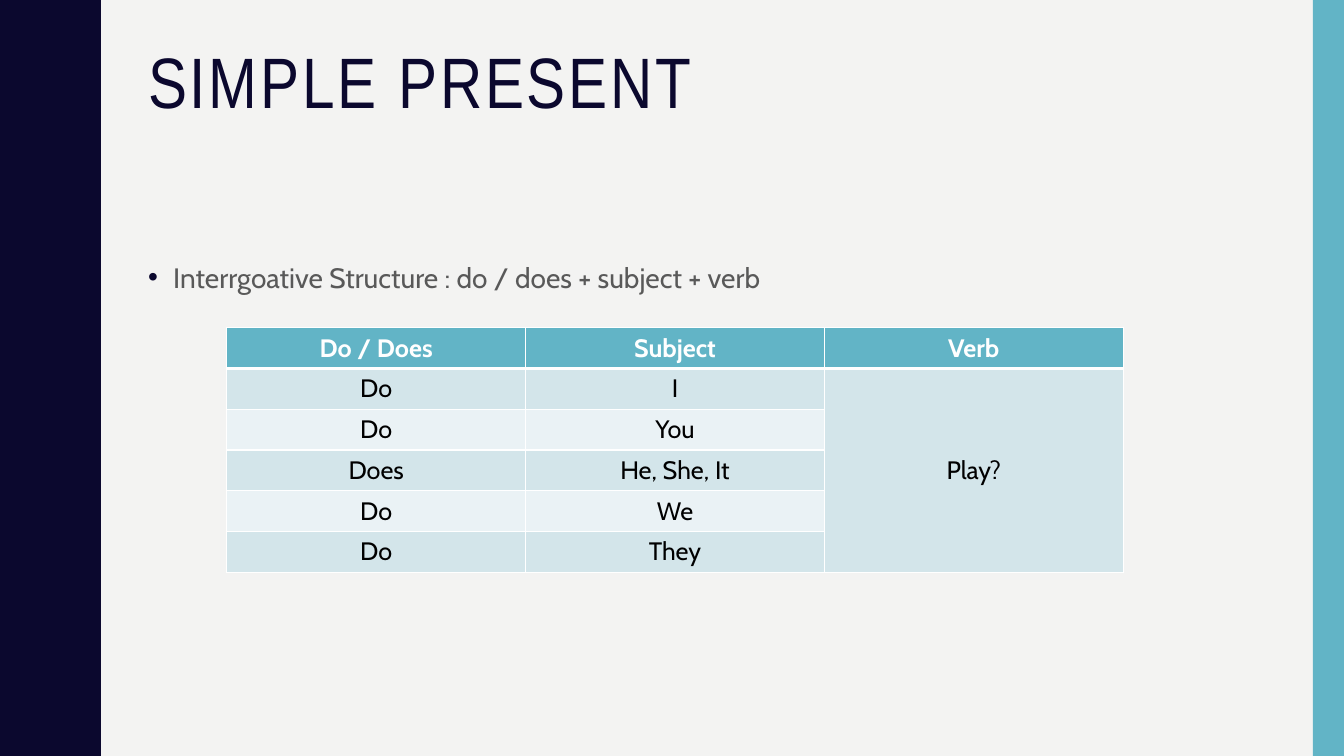
from pptx import Presentation
from pptx.dml.color import RGBColor
from pptx.enum.shapes import MSO_SHAPE
from pptx.enum.text import MSO_ANCHOR, PP_ALIGN
from pptx.oxml import parse_xml
from pptx.oxml.ns import nsdecls
from pptx.util import Inches, Pt

CENTER = PP_ALIGN.CENTER
LEFT = PP_ALIGN.LEFT
TOP = MSO_ANCHOR.TOP
MIDDLE = MSO_ANCHOR.MIDDLE
RECTANGLE = MSO_SHAPE.RECTANGLE

NAVY, TEAL, GRAY = "0B082E", "62B4C6", "595959"
WHITE, BLACK, PAPER = "FFFFFF", "000000", "F3F3F2"
BANDS = ["EAF2F5", "D3E5EA"]


def paint(fill, color):
    fill.solid()
    fill.fore_color.rgb = RGBColor.from_string(color)


def write(frame, text, size, font, color, bold=False, align=LEFT, spacing=1.0):
    """Put one formatted paragraph in a text frame and return it."""
    frame.word_wrap = True
    para = frame.paragraphs[0]
    para.alignment = align
    para.line_spacing = spacing
    span = para.add_run()
    span.text = text
    span.font.size = Pt(size)
    span.font.name = font
    span.font.bold = bold
    span.font.color.rgb = RGBColor.from_string(color)
    return para


deck = Presentation()
deck.slide_width, deck.slide_height = Inches(13.33), Inches(7.5)
page = deck.slides.add_slide(deck.slide_layouts[6])
paint(page.background.fill, PAPER)

# Wavy left edge: one half wave, mirrored and repeated down the page
half_wave = [(0.78, 0), (0.78, 0.07), (0.79, 0.14), (0.8, 0.2), (0.81, 0.25),
             (0.83, 0.29), (0.85, 0.33), (0.87, 0.38), (0.89, 0.42),
             (0.91, 0.46), (0.93, 0.5), (0.95, 0.55), (0.96, 0.61),
             (0.97, 0.68), (0.97, 0.75)]
wave_height = 1.5
full_wave = half_wave + [(x, wave_height - y) for x, y in reversed(half_wave[:-1])]
edge = [(x, y + wave_height * turn) for turn in range(5) for x, y in full_wave]
builder = page.shapes.build_freeform(0, 0, scale=Inches(1))
builder.add_line_segments(edge + [(0, 7.5)], close=True)
wave = builder.convert_to_shape()
stripe = page.shapes.add_shape(RECTANGLE, Inches(13.02), 0, Inches(0.31), Inches(7.5))
for shape, color in [(wave, NAVY), (stripe, TEAL)]:
    paint(shape.fill, color)
    shape.line.fill.background()
    shape.shadow.inherit = False

# Title and bullet
title = page.shapes.add_textbox(Inches(1.37), Inches(0.42), Inches(11.13), Inches(1.63))
title.text_frame.vertical_anchor = TOP
para = write(title.text_frame, "SIMPLE PRESENT", 51, "Arial Narrow", NAVY, spacing=0.9)
para.runs[0].font._element.set("spc", "200")

body = page.shapes.add_textbox(Inches(1.37), Inches(2.5), Inches(11.13), Inches(3.93))
para = write(body.text_frame, "Interrgoative Structure : do / does + subject + verb",
             20, "Cabin", GRAY, spacing=1.1)
para.space_before = Pt(7)
bullet = para._p.get_or_add_pPr()
bullet.set("marL", str(Inches(0.25)))
bullet.set("indent", str(-Inches(0.25)))
bullet.append(parse_xml(f'<a:buClr {nsdecls("a")}><a:srgbClr val="{NAVY}"/></a:buClr>'))
bullet.append(parse_xml(f'<a:buFont {nsdecls("a")} typeface="Arial"/>'))
bullet.append(parse_xml(f'<a:buChar {nsdecls("a")} char="•"/>'))

# Table
rows = [("Do / Does", "Subject", "Verb"),
        ("Do", "I", "Play?"),
        ("Do", "You", ""),
        ("Does", "He, She, It", ""),
        ("Do", "We", ""),
        ("Do", "They", "")]
table = page.shapes.add_table(len(rows), 3, Inches(2.25), Inches(3.25),
                              Inches(8.89), Inches(2.43)).table
table.first_row = table.horz_banding = False
for row_index, words in enumerate(rows):
    header = row_index == 0
    for column_index, word in enumerate(words):
        cell = table.cell(row_index, column_index)
        widths = {"L": 1, "R": 1, "T": 3 if row_index == 1 else 1, "B": 3 if header else 1}
        for side, width in widths.items():
            cell._tc.get_or_add_tcPr().append(parse_xml(
                f'<a:ln{side} {nsdecls("a")} w="{Pt(width)}"><a:solidFill>'
                f'<a:srgbClr val="{WHITE}"/></a:solidFill></a:ln{side}>'))
        merged = column_index == 2 and not header
        paint(cell.fill, TEAL if header else BANDS[1 if merged else row_index % 2])
        if word:
            write(cell.text_frame, word, 18, "Cabin", WHITE if header else BLACK,
                  bold=header, align=CENTER)
table.cell(1, 2).merge(table.cell(5, 2))
table.cell(1, 2).vertical_anchor = MIDDLE

deck.save("out.pptx")
